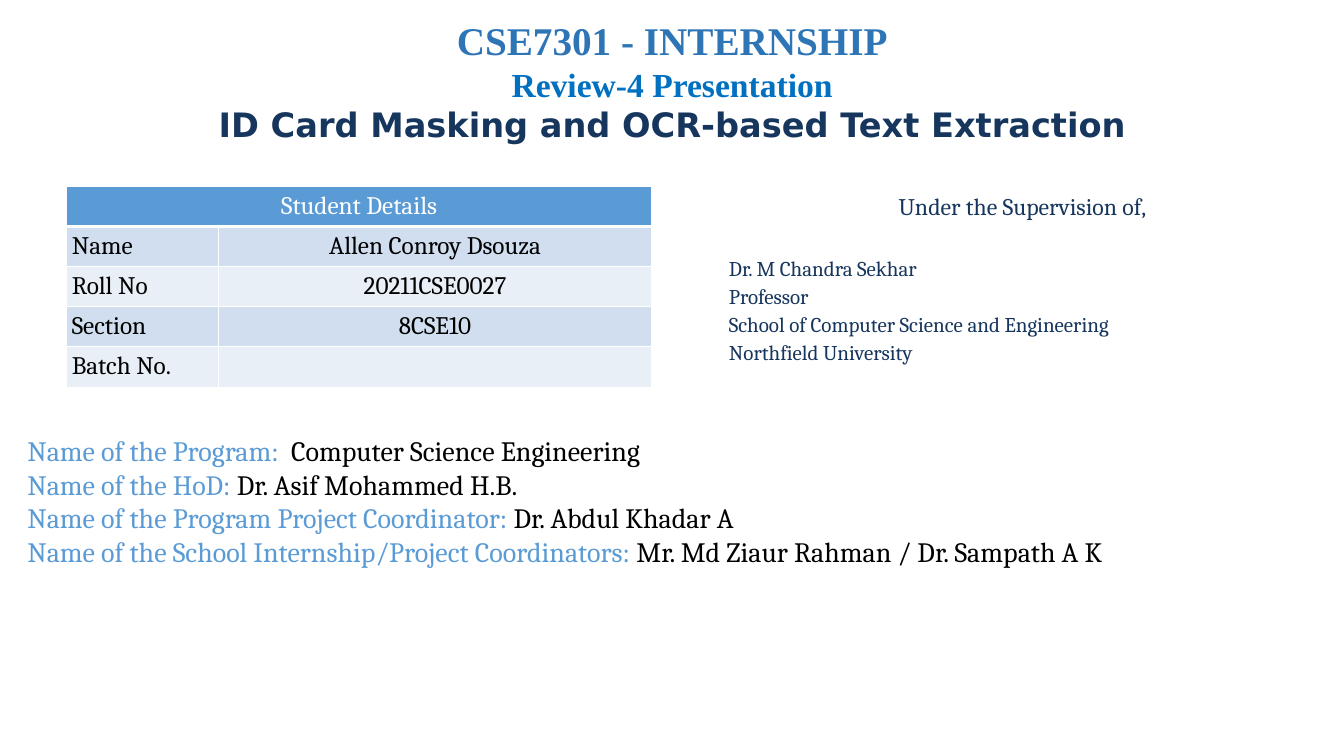
from pptx import Presentation
from pptx.dml.color import RGBColor
from pptx.enum.text import MSO_AUTO_SIZE, PP_ALIGN
from pptx.oxml import parse_xml
from pptx.oxml.ns import nsdecls
from pptx.util import Cm, Pt

LEFT, MID = PP_ALIGN.LEFT, PP_ALIGN.CENTER
FIXED = MSO_AUTO_SIZE.NONE
HUES = {
    "head": "2E75B6", "review": "0070C0", "navy": "17365D", "sky": "5B9BD5",
    "ink": "000000", "white": "FFFFFF", "dark": "D0DEEF", "light": "E9EFF7",
}
PAD = Cm(0.13)
INSETS = {f"margin_{side}": PAD for side in ("left", "right", "top", "bottom")}
TITLE = [
    ("CSE7301 - INTERNSHIP", 28, "Times New Roman", "head"),
    ("Review-4 Presentation", 24, "Times New Roman", "review"),
    ("ID Card Masking and OCR-based Text Extraction", 24, "DejaVu Sans", "navy"),
]
ROWS = [
    ("Student Details", ""),
    ("Name", "Allen Conroy Dsouza"),
    ("Roll No", "20211CSE0027"),
    ("Section", "8CSE10"),
    ("Batch No.", ""),
]
GUIDE = [
    "Dr. M Chandra Sekhar",
    "Professor",
    "School of Computer Science and Engineering",
    "Northfield University",
]
STAFF = [
    ("Name of the Program:  ", "Computer Science Engineering"),
    ("Name of the HoD: ", "Dr. Asif Mohammed H.B."),
    ("Name of the Program Project Coordinator: ", "Dr. Abdul Khadar A"),
    ("Name of the School Internship/Project Coordinators: ",
     "Mr. Md Ziaur Rahman / Dr. Sampath A K"),
]


def apply(item, form):
    """Set each attribute of item named in form."""
    for name, value in form.items():
        setattr(item, name, value)


def write(para, text, size, hue, face="Cambria", bold=False):
    """Add a run of styled text to a paragraph."""
    run = para.add_run()
    run.text = text
    apply(run.font, {"size": Pt(size), "name": face, "bold": bold})
    run.font.color.rgb = RGBColor.from_string(HUES[hue])


def frame(slide, box, **form):
    """Add a wrapping text box and return its text frame."""
    text = slide.shapes.add_textbox(*map(Cm, box)).text_frame
    apply(text, {"word_wrap": True, "auto_size": FIXED, **INSETS, **form})
    return text


def line(text, index, **form):
    """Return the paragraph at index, added when needed and formatted."""
    para = text.add_paragraph() if index else text.paragraphs[0]
    apply(para, form)
    return para


def title(slide, box):
    """Place the three centred heading lines."""
    text = frame(slide, box, margin_top=Cm(0.17))
    for index, (words, size, face, hue) in enumerate(TITLE):
        write(line(text, index, alignment=MID), words, size, hue, face, True)


def edge(cell, sides):
    """Draw white cell borders, given as a dict of side to points."""
    props = cell._tc.get_or_add_tcPr()
    for index, (side, width) in enumerate(sides.items()):
        props.insert(index, parse_xml(
            f'<a:ln{side} {nsdecls("a")} w="{Pt(width)}"><a:solidFill>'
            f'<a:srgbClr val="{HUES["white"]}"/></a:solidFill></a:ln{side}>'))


def details(slide, box):
    """Place the banded table of student details."""
    grid = slide.shapes.add_table(len(ROWS), 2, *map(Cm, box)).table
    for col, share in zip(grid.columns, (0.26, 0.74)):
        col.width = Cm(round(box[2] * share, 2))
    for row, pair in enumerate(ROWS):
        grid.rows[row].height = Cm(round(box[3] / len(ROWS), 2))
        for col, words in enumerate(pair):
            cell = grid.cell(row, col)
            apply(cell, INSETS)
            cell.fill.solid()
            fill = "sky" if row == 0 else "dark" if row % 2 else "light"
            cell.fill.fore_color.rgb = RGBColor.from_string(HUES[fill])
            edge(cell, {"L": 1, "R": 1, "T": 3 if row == 1 else 1,
                        "B": 1 if row else 3})
            if words:
                side = LEFT if row and not col else MID
                para = line(cell.text_frame, 0, alignment=side)
                write(para, words, 18, "ink" if row else "white")
    grid.cell(0, 0).merge(grid.cell(0, 1))


def guide(slide, box):
    """Place the supervisor heading and details."""
    text = frame(slide, box)
    write(line(text, 0, alignment=MID), "Under the Supervision of,", 17, "navy")
    for index, words in enumerate(GUIDE, 1):
        gap = Pt(25 if index == 1 else 2)
        write(line(text, index, space_before=gap), words, 15, "navy")


def staff(slide, box):
    """Place the labelled list of programme staff."""
    text = frame(slide, box)
    for index, (label, name) in enumerate(STAFF):
        para = line(text, index)
        write(para, label, 20, "sky")
        write(para, name, 20, "ink")


def main():
    """Build and save the slide."""
    deck = Presentation()
    apply(deck, {"slide_width": Cm(33.87), "slide_height": Cm(19.05)})
    slide = deck.slides.add_slide(deck.slide_layouts[6])
    guide(slide, (18.24, 4.7, 15.06, 5.61))
    staff(slide, (0.56, 10.8, 33.2, 4.32))
    title(slide, (2.46, 0.25, 28.96, 4.52))
    details(slide, (1.68, 4.7, 14.75, 5.05))
    deck.save("out.pptx")


if __name__ == "__main__":
    main()
